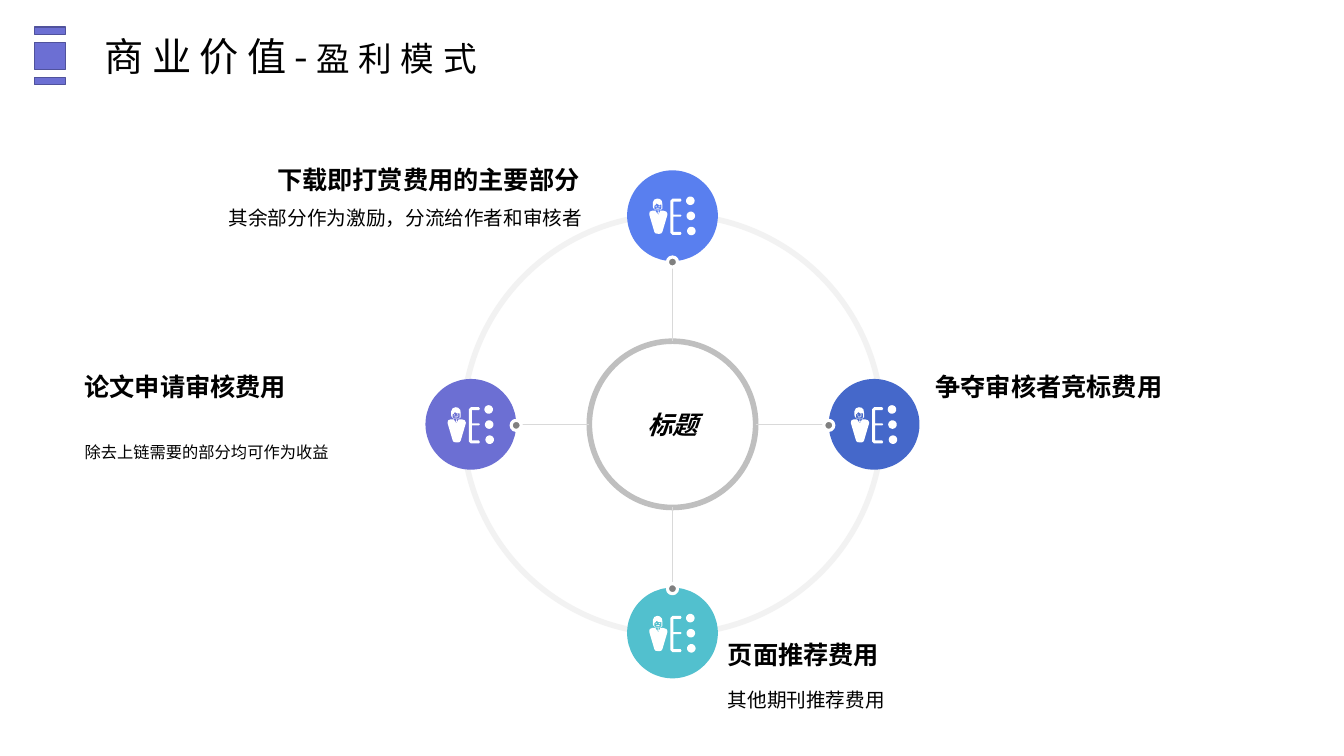
import math
from dataclasses import dataclass

from lxml import etree
from pptx import Presentation
from pptx import util as u
from pptx.dml.color import RGBColor
from pptx.enum import shapes, text
from pptx.oxml.ns import qn


@dataclass(frozen=True)
class Theme:
    font: str = "Noto Sans CJK SC"
    ink: str = "000000"
    white: str = "FFFFFF"
    violet: str = "6C6FD3"
    violet_dark: str = "50529C"
    blue: str = "597FEF"
    navy: str = "4568CA"
    teal: str = "52C0CE"
    ring: str = "F2F2F2"
    hub: str = "BFBFBF"
    spoke: str = "D9D9D9"
    dot: str = "808080"
    title: int = 28
    subtitle: int = 24
    heading: int = 18
    body: int = 14
    lowered: int = 20


# Icon outlines, in hundredths of an inch from the icon's corner
BODY = [(6, 14), (8, 17), (9, 18), (9.5, 17), (11, 14), (14, 14), (17, 15), (18, 17), (18, 18),
        (13, 35), (12, 36.5), (10, 37), (9, 37), (6, 36.5), (5, 35), (0, 18), (0, 17),
        (0.5, 15), (3, 14)]
TIE = [(8.3, 14), (9.4, 14), (9, 15), (9.5, 16), (9, 17), (8.5, 17), (8.2, 16), (8.7, 15)]
MOUTH = [(7, 11), (8, 11.4), (10, 11), (10.5, 11.5), (9, 12), (7, 12)]
EYES = [[(9, 10), (10, 9), (11, 10)], [(6, 10), (7, 9), (7.5, 10)]]
FACE = [(7, 7), (6, 8.5), (5, 9), (5, 12), (6, 13), (11, 13), (12, 12), (12, 8), (9.5, 8.3), (7.5, 7)]
HAIR = [(8, 2), (10.5, 2.5), (12.5, 4.5), (13, 8), (13, 12), (11, 13.4), (6, 13.4), (4, 11.5),
        (3.5, 10), (3.5, 6), (5, 3)]
BRACKET = [(23, 2), (31, 2), (32, 3.5), (31, 5), (24, 5), (24, 18), (31, 18), (32, 19), (31, 20),
           (24, 20), (24, 35), (31, 35), (32, 36.5), (31, 38), (23, 38), (21, 36), (21, 4)]


def circle(cx, cy, radius, steps=24):
    angles = [2 * math.pi * i / steps for i in range(steps)]
    return [(cx + radius * math.cos(a), cy + radius * math.sin(a)) for a in angles]


BULLETS = [circle(40.7 + 0.5 * i, 4.2 + 15 * i, 4.2) for i in range(3)]
ICON = [BODY, TIE, MOUTH, *EYES, FACE, HAIR, BRACKET, *BULLETS]


class Deck:
    def __init__(self, theme):
        self.theme = theme
        self.prs = Presentation()
        self.prs.slide_width, self.prs.slide_height = u.Inches(13.33), u.Inches(7.5)
        self.s = self.prs.slides.add_slide(self.prs.slide_layouts[6])

    def paint(self, sp, fill=None, line=None, width=1):
        sp.shadow.inherit = False
        if fill:
            sp.fill.solid()
            sp.fill.fore_color.rgb = RGBColor.from_string(fill)
        else:
            sp.fill.background()
        if line:
            sp.line.color.rgb = RGBColor.from_string(line)
            sp.line.width = u.Pt(width)
        else:
            sp.line.fill.background()

    def rect(self, x, y, w, h, **look):
        sp = self.s.shapes.add_shape(shapes.MSO_SHAPE.RECTANGLE, *map(u.Inches, (x, y, w, h)))
        self.paint(sp, **look)

    def disc(self, cx, cy, radius, **look):
        box = (cx - radius, cy - radius, 2 * radius, 2 * radius)
        sp = self.s.shapes.add_shape(shapes.MSO_SHAPE.OVAL, *map(u.Inches, box))
        self.paint(sp, **look)
        return sp

    def line(self, x1, y1, x2, y2, color):
        ends = map(u.Inches, (x1, y1, x2, y2))
        sp = self.s.shapes.add_connector(shapes.MSO_CONNECTOR.STRAIGHT, *ends)
        sp.line.color.rgb = RGBColor.from_string(color)
        sp.line.width = u.Pt(1)
        etree.SubElement(sp._element.spPr, qn("a:effectLst"))

    def icon(self, x, y):
        outlines = [[(px * 10, py * 10) for px, py in outline] for outline in ICON]
        builder = self.s.shapes.build_freeform(*outlines[0][0], scale=u.Inches(1) / 1000)
        for i, outline in enumerate(outlines):
            if i:
                builder.move_to(*outline[0])
            builder.add_line_segments(outline[1:], close=True)
        sp = builder.convert_to_shape(u.Inches(x), u.Inches(y))
        self.paint(sp, fill=self.theme.white)

    def run(self, p, words, size, spacing=0, baseline=0, **style):
        r = p.add_run()
        r.text = words
        values = {"name": self.theme.font, "size": u.Pt(size), **style}
        for name, value in values.items():
            setattr(r.font, name, value)
        r.font.color.rgb = RGBColor.from_string(self.theme.ink)
        rPr = r._r.get_or_add_rPr()
        for name, value in {"spc": spacing, "baseline": baseline}.items():
            if value:
                rPr.set(name, str(value))
        etree.SubElement(rPr, qn("a:ea"), typeface=self.theme.font)

    def textbox(self, x, y, w, h, runs, anchor=text.MSO_ANCHOR.TOP, spacing=None):
        sp = self.s.shapes.add_textbox(*map(u.Inches, (x, y, w, h)))
        tf = sp.text_frame
        for name, value in {"word_wrap": True, "vertical_anchor": anchor}.items():
            setattr(tf, name, value)
        p = tf.paragraphs[0]
        p.line_spacing = spacing
        for run in runs:
            self.run(p, **run)

    def heading(self, x, y, w, h, words):
        runs = [dict(words=words, size=self.theme.heading, bold=True)]
        self.textbox(x, y, w, h, runs, anchor=text.MSO_ANCHOR.MIDDLE)

    def note(self, x, y, w, words, **style):
        runs = [{"words": words, "size": self.theme.body, **style}]
        self.textbox(x, y, w, 0.87, runs, spacing=1.2)


def main():
    t = Theme()
    deck = Deck(t)

    # Title with its marker
    for y, h in [(0.42, 0.27), (0.77, 0.07), (0.27, 0.07)]:
        deck.rect(0.34, y, 0.31, h, fill=t.violet, line=t.violet_dark)
    deck.textbox(0.94, 0.27, 4.78, 0.57, [
        dict(words="商业价值-", size=t.title, spacing=600),
        dict(words="盈利模式", size=t.subtitle, spacing=600),
    ])

    # Ring, hub and four spokes
    cx, cy = 6.67, 4.21
    reach_x, reach_y = 2.0, 2.07
    hub_r, disc_r = 0.825, 0.45
    spokes = [(0, -1, t.blue), (0, 1, t.teal), (1, 0, t.navy), (-1, 0, t.violet)]
    deck.disc(cx, cy, 2.08, line=t.ring, width=4)
    hub = deck.disc(cx, cy, hub_r, line=t.hub, width=4)
    hub.text_frame.vertical_anchor = text.MSO_ANCHOR.MIDDLE
    p = hub.text_frame.paragraphs[0]
    p.alignment = text.PP_ALIGN.CENTER
    deck.run(p, "标题", t.heading, bold=True, italic=True)
    for dx, dy, color in spokes:
        x, y = cx + dx * reach_x, cy + dy * reach_y
        inner_x, inner_y = x - dx * disc_r, y - dy * disc_r
        deck.disc(x, y, disc_r, fill=color)
        deck.line(cx + dx * hub_r, cy + dy * hub_r, inner_x, inner_y, t.spoke)
        deck.icon(x - 0.23, y - 0.19)
        deck.disc(inner_x, inner_y + 0.01, 0.05, fill=t.dot, line=t.white, width=2.25)

    # Fee descriptions
    deck.heading(0.74, 3.59, 3.42, 0.48, "论文申请审核费用")
    deck.note(0.74, 4.08, 3.42, "除去上链需要的部分均可作为收益", size=t.lowered, baseline=-25000)
    deck.heading(2.65, 1.43, 3.36, 0.7, "下载即打赏费用的主要部分")
    deck.note(2.17, 1.95, 3.84, "其余部分作为激励，分流给作者和审核者")
    deck.heading(9.18, 3.59, 3.42, 0.48, "争夺审核者竞标费用")
    deck.heading(7.12, 6.25, 3.42, 0.48, "页面推荐费用")
    deck.note(7.12, 6.73, 3.42, "其他期刊推荐费用")

    deck.prs.save("out.pptx")


if __name__ == "__main__":
    main()
